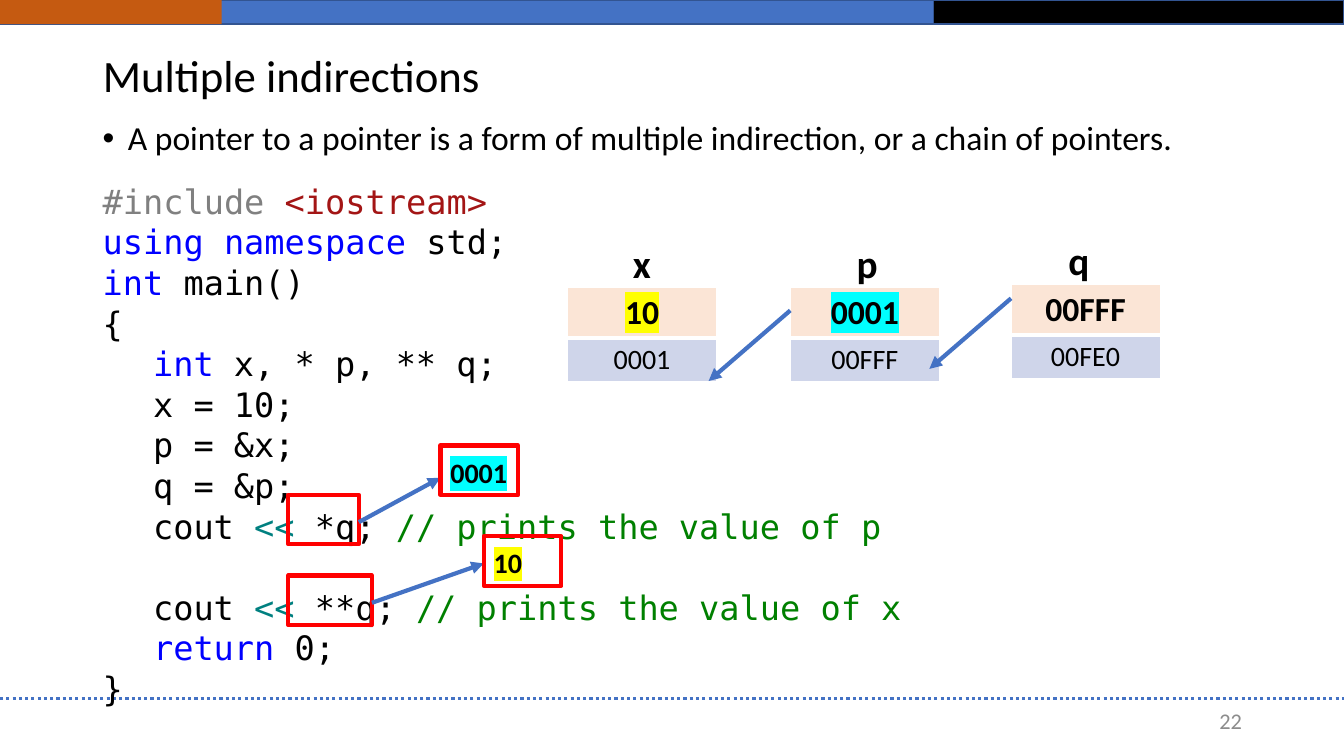
import dataclasses

import lxml.etree
import pptx
import pptx.dml.color
import pptx.enum.dml
import pptx.enum.shapes
import pptx.enum.text
import pptx.oxml.ns
import pptx.util

RGB = pptx.dml.color.RGBColor
Align = pptx.enum.text.PP_ALIGN
Anchor = pptx.enum.text.MSO_ANCHOR
Pt = pptx.util.Pt

BLACK, WHITE, RED = RGB(0, 0, 0), RGB(255, 255, 255), RGB(255, 0, 0)
BLUE, NAVY, ORANGE = RGB(0x44, 0x72, 0xC4), RGB(0x32, 0x54, 0x91), RGB(0xC5, 0x5A, 0x11)
PEACH, LAVENDER, NUMBER_GREY = RGB(0xFB, 0xE5, 0xD6), RGB(0xCF, 0xD5, 0xEA), RGB(0x8C, 0x8C, 0x8C)
YELLOW, CYAN = RGB(255, 255, 0), RGB(0, 255, 255)
DIRECTIVE, HEADER, KEYWORD = RGB(0x80, 0x80, 0x80), RGB(0xA3, 0x15, 0x15), RGB(0, 0, 255)
OPERATOR, COMMENT = RGB(0, 0x80, 0x80), RGB(0, 0x80, 0)
SANS, MONO = "Calibri", "DejaVu Sans Mono"

# The page is a grid of square cells, ten to the inch.
CELL = pptx.util.Inches(0.1)
COLUMNS, ROWS = 133.33, 75
CODE_LEADING = Pt(29)

# Each code line: indent level, blank lines above, coloured pieces.
CODE = [
    (0, 0, [("#include ", DIRECTIVE), ("<iostream>", HEADER)]),
    (0, 0, [("using namespace", KEYWORD), (" std;", BLACK)]),
    (0, 0, [("int", KEYWORD), (" main()", BLACK)]),
    (0, 0, [("{", BLACK)]),
    (1, 0, [("int", KEYWORD), (" x, * p, ** q;", BLACK)]),
    (1, 0, [("x = 10;", BLACK)]),
    (1, 0, [("p = &x;", BLACK)]),
    (1, 0, [("q = &p;", BLACK)]),
    (1, 0, [("cout ", BLACK), ("<<", OPERATOR), (" *q; ", BLACK),
            ("// prints the value of p", COMMENT)]),
    (1, 1, [("cout ", BLACK), ("<<", OPERATOR), (" **q; ", BLACK),
            ("// prints the value of x", COMMENT)]),
    (1, 0, [("return", KEYWORD), (" 0;", BLACK)]),
    (0, 0, [("}", BLACK)]),
]


@dataclasses.dataclass
class Box:
    """A rectangle measured in grid cells."""
    left: float
    top: float
    width: float
    height: float

    def inside(self, column, row, width, height):
        """Return a box placed relative to this one."""
        return Box(self.left + column, self.top + row, width, height)

    def emu(self):
        """Return the four lengths for python-pptx."""
        return [round(cells * CELL) for cells in dataclasses.astuple(self)]


def add_xml(parent, tag, **attributes):
    """Append a DrawingML element."""
    return lxml.etree.SubElement(parent, pptx.oxml.ns.qn(tag), attributes)


def add_span(para, text, size, color=BLACK, bold=False, highlight=None, font=SANS):
    """Add one formatted run."""
    span = para.add_run()
    span.text = text
    span.font.size, span.font.bold = Pt(size), bold
    span.font.color.rgb = color
    if highlight is not None:
        mark = add_xml(span.font._element, "a:highlight")
        add_xml(mark, "a:srgbClr", val=str(highlight))
    span.font.name = font


def add_text(page, box, anchor=Anchor.TOP, wrap=True):
    """Add a text box and return its first paragraph."""
    frame = page.shapes.add_textbox(*box.emu()).text_frame
    frame.word_wrap, frame.vertical_anchor = wrap, anchor
    return frame.paragraphs[0]


def add_rect(page, box, fill=None, line=None, width=1):
    """Add a flat rectangle."""
    shape = page.shapes.add_shape(pptx.enum.shapes.MSO_SHAPE.RECTANGLE, *box.emu())
    shape.shadow.inherit = False
    if fill is None:
        shape.fill.background()
    else:
        shape.fill.solid()
        shape.fill.fore_color.rgb = fill
    if line is None:
        shape.line.fill.background()
    else:
        shape.line.color.rgb, shape.line.width = line, Pt(width)


def add_line(page, start, end, width=3, dash=None, arrow=True):
    """Add a straight blue line, by default with an arrowhead at its end."""
    ends = [round(cells * CELL) for cells in (*start, *end)]
    line = page.shapes.add_connector(pptx.enum.shapes.MSO_CONNECTOR.STRAIGHT, *ends)
    line.line.color.rgb, line.line.width = BLUE, Pt(width)
    if dash is not None:
        line.line.dash_style = dash
    if arrow:
        add_xml(line.line._get_or_add_ln(), "a:tailEnd", type="triangle")
    add_xml(line._element.spPr, "a:effectLst")


def draw_frame(page, box):
    """Draw the top bands, the dotted rule and the page number."""
    add_rect(page, box.inside(0, 0, 92.6, 2.4), BLUE, NAVY)
    add_rect(page, box.inside(92.6, 0, box.width - 92.6, 2.4), BLACK, NAVY)
    add_rect(page, box.inside(0, 0, 22, 2.4), ORANGE)
    rule = box.top + 69.3
    add_line(page, (box.left, rule), (box.left + box.width, rule), 2.25,
             pptx.enum.dml.MSO_LINE.ROUND_DOT, arrow=False)
    para = add_text(page, box.inside(94.2, 69.5, 30, 4), Anchor.MIDDLE)
    para.alignment = Align.RIGHT
    add_span(para, "22", 16, NUMBER_GREY)


def draw_heading(page, box):
    """Fill the title and the bullet beneath it."""
    title = page.shapes.title
    title.left, title.top, title.width, title.height = box.inside(0, 0, box.width, 8.4).emu()
    title.text_frame.auto_size = pptx.enum.text.MSO_AUTO_SIZE.NONE
    title.text_frame.vertical_anchor = Anchor.MIDDLE
    heading = title.text_frame.paragraphs[0]
    heading.alignment, heading.line_spacing = Align.LEFT, 0.9
    add_span(heading, "Multiple indirections", 32)

    bullet = add_text(page, box.inside(0, 8.1, box.width, 5))
    bullet.line_spacing, bullet.space_before = 0.9, Pt(10)
    props = bullet._p.get_or_add_pPr()
    props.set("marL", str(round(2.5 * CELL)))
    props.set("indent", str(round(-2.5 * CELL)))
    add_xml(props, "a:buFont", typeface="Arial")
    add_xml(props, "a:buChar", char="•")
    add_span(bullet, "A pointer to a pointer is a form of multiple indirection, "
             "or a chain of pointers.", 24)


def draw_code(page, box):
    """Write the coloured program listing."""
    para = add_text(page, box)
    frame = para._parent
    for number, (level, gap, pieces) in enumerate(CODE):
        if number:
            para = frame.add_paragraph()
        para.level, para.line_spacing = level, CODE_LEADING
        para.space_before = gap * CODE_LEADING
        para._p.get_or_add_pPr().set("marL", str(5 * level * CELL))
        for text, color in pieces:
            add_span(para, text, 24, color, font=MONO)


def draw_variable(page, box, name, name_column, value, address, highlight=None):
    """Draw a variable's name above a table of its value and address."""
    label = add_text(page, box.inside(name_column, -5.2, 5.5, 5.7))
    label.alignment = Align.JUSTIFY
    add_span(label, name, 28, bold=True)
    table = page.shapes.add_table(2, 1, *box.emu()).table
    table.horz_banding = False
    rows = [(value, 24, True, highlight, PEACH, 3), (address, 20, False, None, LAVENDER, 1)]
    for row, (text, size, bold, mark, fill, bottom) in enumerate(rows):
        table.rows[row].height = round(4.1 * CELL)
        cell = table.cell(row, 0)
        para = cell.text_frame.paragraphs[0]
        para.alignment = Align.CENTER
        add_span(para, text, size, bold=bold, highlight=mark)
        props = cell._tc.get_or_add_tcPr()
        top = 1 if row == 0 else 3
        for side, width in (("L", 1), ("R", 1), ("T", top), ("B", bottom)):
            border = add_xml(props, "a:ln" + side, w=str(Pt(width)))
            add_xml(add_xml(border, "a:solidFill"), "a:srgbClr", val=str(WHITE))
        cell.fill.solid()
        cell.fill.fore_color.rgb = fill


def draw_memory(page, box):
    """Draw the three variables and the arrows that chain them."""
    x, p, q = [box.inside(column, row, 14.8, 8.2)
               for column, row in ((0, 0.3), (22.1, 0.3), (44, 0))]
    draw_variable(page, x, "x", 5.5, "10", "0001", YELLOW)
    draw_variable(page, p, "p", 5.6, "0001", "00FFF", CYAN)
    draw_variable(page, q, "q", 4.7, "00FFF", "00FE0")
    for pointer, drop in ((p, 2.3), (q, 1.4)):
        start = pointer.left, pointer.top + drop
        add_line(page, start, (start[0] - 8.1, start[1] + 7))


def draw_result(page, box, column, value, highlight, drop):
    """Frame an expression and point from it to its framed result."""
    result = Box(column, box.top - 4.9 + (3.2 - drop) * 2, 7.7, 4.9)
    add_rect(page, box, line=RED, width=3)
    add_line(page, (box.left + box.width, box.top + 2.7), (result.left, result.top + drop))
    add_rect(page, result, line=RED, width=3)
    para = add_text(page, result.inside(0, 0.45, 7.7, 4.4), wrap=False)
    add_span(para, value, 20, bold=True, highlight=highlight)


def build_page(deck):
    """Build the slide on multiple indirections."""
    page = deck.slides.add_slide(deck.slide_layouts[5])
    whole = Box(0, 0, COLUMNS, ROWS)
    draw_frame(page, whole)
    draw_heading(page, whole.inside(9.2, 3.5, 115, 13.1))
    draw_code(page, whole.inside(9.2, 17.4, 92.5, 53.5))
    draw_memory(page, whole.inside(56.3, 28.2, 58.8, 9.6))
    draw_result(page, whole.inside(28.6, 49.1, 7, 4.9), 43.7, "0001", CYAN, 3.2)
    draw_result(page, whole.inside(28.6, 57.1, 8.3, 4.9), 48, "10", YELLOW, 2.7)


deck = pptx.Presentation()
deck.slide_width, deck.slide_height = round(COLUMNS * CELL), ROWS * CELL
build_page(deck)
deck.save("out.pptx")
